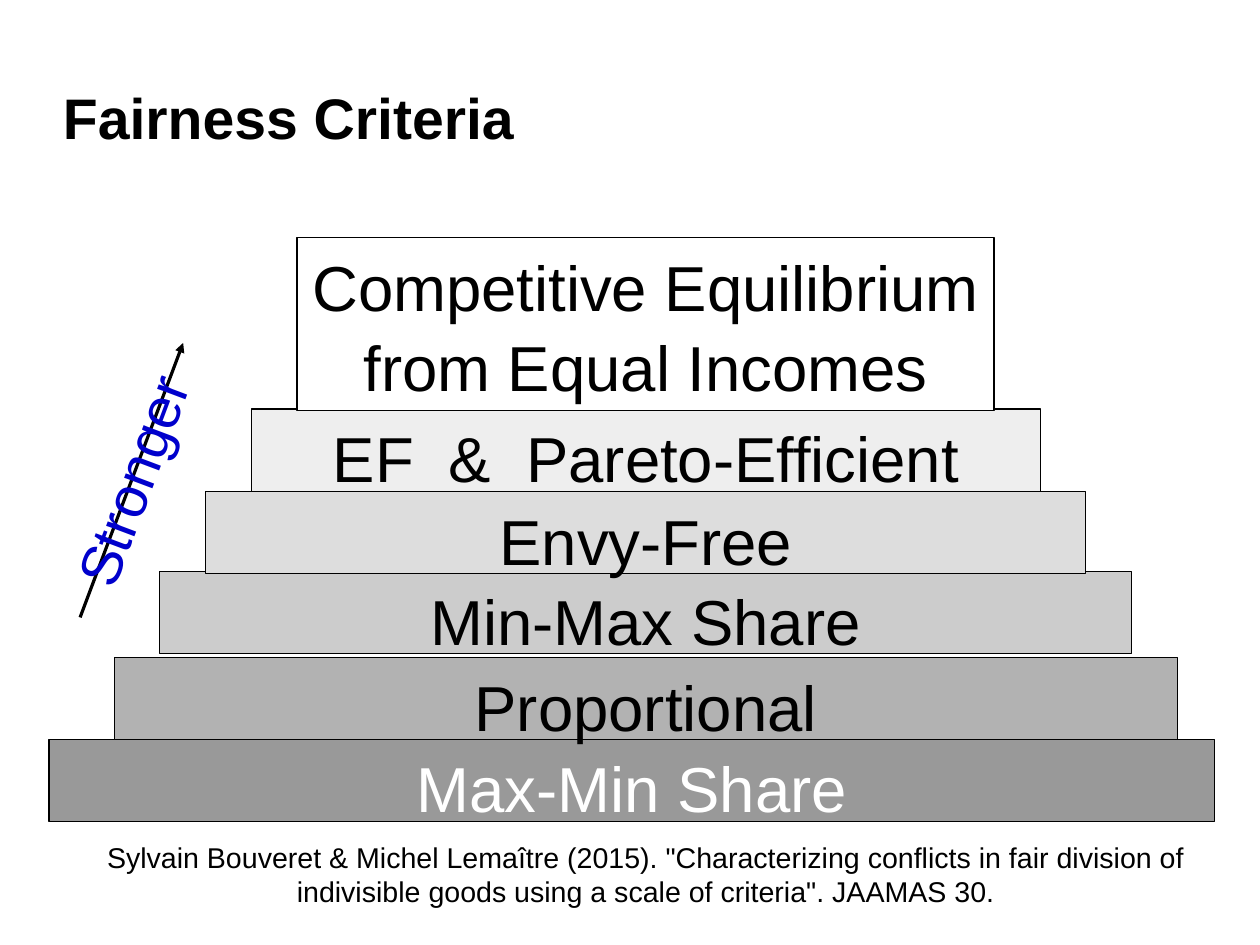
import math

from lxml import etree
from pptx import Presentation
from pptx.dml.color import RGBColor
from pptx.enum.shapes import MSO_CONNECTOR, MSO_SHAPE
from pptx.enum.text import MSO_ANCHOR, PP_ALIGN
from pptx.oxml.ns import qn
from pptx.util import Cm, Pt

RECT = MSO_SHAPE.RECTANGLE
STRAIGHT = MSO_CONNECTOR.STRAIGHT
TOP, MIDDLE = MSO_ANCHOR.TOP, MSO_ANCHOR.MIDDLE
LEFT, CENTER = PP_ALIGN.LEFT, PP_ALIGN.CENTER

BLACK = RGBColor(0x00, 0x00, 0x00)
WHITE = RGBColor(0xFF, 0xFF, 0xFF)
BLUE = RGBColor(0x00, 0x00, 0xCC)
GRAY_1 = RGBColor(0xEE, 0xEE, 0xEE)
GRAY_2 = RGBColor(0xDD, 0xDD, 0xDD)
GRAY_3 = RGBColor(0xCC, 0xCC, 0xCC)
GRAY_4 = RGBColor(0xB2, 0xB2, 0xB2)
GRAY_5 = RGBColor(0x99, 0x99, 0x99)

STEP_HEIGHT = 1.83
STEPS = [
    ("Max-Min Share", GRAY_5, WHITE, 0, 11.15, 25.9, STEP_HEIGHT),
    ("Proportional", GRAY_4, BLACK, 1.45, 9.33, 23.62, STEP_HEIGHT),
    ("Min-Max Share", GRAY_3, BLACK, 2.46, 7.42, 21.59, STEP_HEIGHT),
    ("Envy-Free", GRAY_2, BLACK, 3.48, 5.64, 19.56, STEP_HEIGHT),
    ("EF  &  Pareto-Efficient", GRAY_1, BLACK, 4.5, 3.81, 17.53, STEP_HEIGHT),
    ("Competitive Equilibrium from Equal Incomes", WHITE, BLACK,
     5.51, 0, 15.49, 3.84),
]


def write(sp, text, size, color, align=CENTER, anchor=TOP, bold=False):
    tf = sp.text_frame
    tf.word_wrap = True
    tf.vertical_anchor = anchor
    tf.text = text
    p = tf.paragraphs[0]
    p.alignment = align
    p.font.name = "Arial"
    p.font.size = Pt(size)
    p.font.bold = bold
    p.font.color.rgb = color
    return p


def add_title(s, x, y, w, h):
    sp = s.shapes.title
    sp.left, sp.top, sp.width, sp.height = Cm(x), Cm(y), Cm(w), Cm(h)
    write(sp, "Fairness Criteria", 36, BLACK, LEFT, MIDDLE, True)
    tf = sp.text_frame
    tf.margin_left = tf.margin_right = tf.margin_top = tf.margin_bottom = 0


def add_pyramid(s, x, y):
    for text, fill, color, dx, dy, w, h in STEPS:
        sp = s.shapes.add_shape(RECT, Cm(x + dx), Cm(y + dy), Cm(w), Cm(h))
        sp.shadow.inherit = False
        sp.fill.solid()
        sp.fill.fore_color.rgb = fill
        sp.line.color.rgb = BLACK
        sp.line.width = Pt(0)
        write(sp, text, 40, color).line_spacing = 1.06


def add_citation(s, x, y, w, h):
    sp = s.shapes.add_textbox(Cm(x), Cm(y), Cm(w), Cm(h))
    write(sp, 'Sylvain Bouveret & Michel Lemaître (2015). "Characterizing '
          'conflicts in fair division of indivisible goods using a scale of '
          'criteria". JAAMAS 30.', 18, BLACK)


def add_strength_arrow(s, x, y, w, h):
    arrow = s.shapes.add_connector(STRAIGHT, Cm(x), Cm(y + h), Cm(x + w), Cm(y))
    arrow.line.color.rgb = BLACK
    arrow.line.width = Pt(0)
    ln = arrow.line._get_or_add_ln()
    etree.SubElement(ln, qn("a:tailEnd"), type="triangle")
    etree.SubElement(arrow._element.spPr, qn("a:effectLst"))

    length, height = math.hypot(w, h), 1.8
    label = s.shapes.add_textbox(Cm(x + (w - length) / 2),
                                 Cm(y + (h - height) / 2),
                                 Cm(length), Cm(height))
    label.rotation = -math.degrees(math.atan2(h, w))
    write(label, "Stronger", 36, BLUE, anchor=MIDDLE)


def main():
    prs = Presentation()
    prs.slide_width, prs.slide_height = Cm(28), Cm(21)
    s = prs.slides.add_slide(prs.slide_layouts[5])
    add_title(s, 1.4, 1.17, 25.27, 2.84)
    add_pyramid(s, 1.09, 5.28)
    add_citation(s, 0.76, 18.54, 27.18, 2.39)
    add_strength_arrow(s, 1.78, 7.62, 2.29, 6.1)
    prs.save("out.pptx")


if __name__ == "__main__":
    main()
